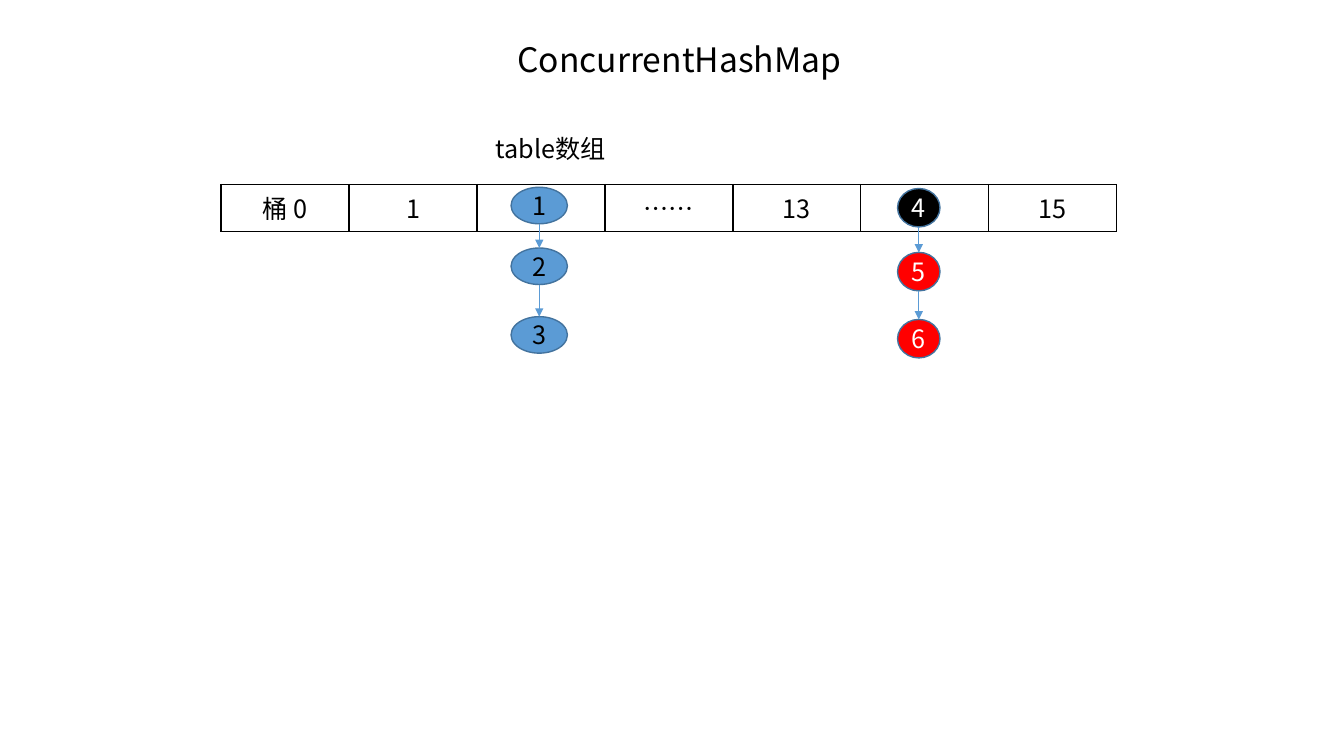
from lxml import etree
from pptx import Presentation
from pptx.dml.color import RGBColor
from pptx.enum.shapes import MSO_CONNECTOR, MSO_SHAPE
from pptx.enum.text import MSO_ANCHOR, PP_ALIGN
from pptx.oxml import parse_xml
from pptx.oxml.ns import nsdecls, qn
from pptx.util import Cm, Pt

FONT = "Noto Sans CJK SC"
BLACK = RGBColor(0x00, 0x00, 0x00)
WHITE = RGBColor(0xFF, 0xFF, 0xFF)
RED = RGBColor(0xFF, 0x00, 0x00)
BLUE = RGBColor(0x5B, 0x9B, 0xD5)
DARK_BLUE = RGBColor(0x43, 0x73, 0x9E)


def write(frame, text, size=18, color=BLACK, align=PP_ALIGN.CENTER,
          anchor=MSO_ANCHOR.TOP):
    """Put one formatted line of text into a text frame."""
    frame.word_wrap = True
    frame.vertical_anchor = anchor
    line = frame.paragraphs[0]
    line.alignment = align
    run = line.add_run()
    run.text = text
    run.font.size = Pt(size)
    run.font.name = FONT
    run.font.color.rgb = color
    east_asian = etree.SubElement(run._r.get_or_add_rPr(), qn("a:ea"))
    east_asian.set("typeface", FONT)


deck = Presentation()
deck.slide_width, deck.slide_height = Cm(33.87), Cm(19.05)
slide = deck.slides.add_slide(deck.slide_layouts[5])
shapes = slide.shapes

heading = shapes.title
heading.left, heading.top = Cm(4.42), Cm(0.97)
heading.width, heading.height = Cm(25.4), Cm(1.47)
write(heading.text_frame, "ConcurrentHashMap", size=24)
heading.text_frame.paragraphs[0].line_spacing = 0.9

# Bucket array
bucket_labels = ["桶 0", "1", "", "……", "13", "", "15"]
bucket_frame = shapes.add_table(1, len(bucket_labels), Cm(5.57), Cm(4.65),
                                Cm(22.58), Cm(1.04))
buckets = bucket_frame.table
buckets.first_row = buckets.horz_banding = False
for column, bucket_label in enumerate(bucket_labels):
    bucket = buckets.cell(0, column)
    if bucket_label:
        write(bucket.text_frame, bucket_label)
    properties = bucket._tc.get_or_add_tcPr()
    for side in ("lnL", "lnR", "lnT", "lnB"):
        properties.append(parse_xml(
            f'<a:{side} {nsdecls("a")} w="12700"><a:solidFill>'
            f'<a:srgbClr val="{BLACK}"/></a:solidFill></a:{side}>'))
    bucket.fill.background()

caption = shapes.add_textbox(Cm(12.24), Cm(3.23), Cm(5.59), Cm(1.02))
write(caption.text_frame, "table数组", align=PP_ALIGN.LEFT)

# Node chains hanging from buckets: left, width, height, text colour, nodes
chains = [
    (12.88, 1.42, 0.92, BLACK,
     [("1", 4.72, BLUE), ("2", 6.25, BLUE), ("3", 7.98, BLUE)]),
    (22.62, 1.07, 0.97, WHITE,
     [("4", 4.75, BLACK), ("5", 6.36, RED), ("6", 8.05, RED)]),
]
for left, width, height, text_color, nodes in chains:
    center = Cm(left + width / 2)
    previous = None
    for number, top, fill_color in nodes:
        node = shapes.add_shape(MSO_SHAPE.OVAL, Cm(left), Cm(top),
                                Cm(width), Cm(height))
        node.shadow.inherit = False
        node.fill.solid()
        node.fill.fore_color.rgb = fill_color
        node.line.color.rgb = DARK_BLUE
        node.line.width = Pt(1)
        node_text = node.text_frame
        node_text.margin_left = node_text.margin_right = 0
        node_text.margin_top = node_text.margin_bottom = 0
        write(node_text, number, color=text_color, anchor=MSO_ANCHOR.MIDDLE)
        if previous is not None:
            arrow = shapes.add_connector(
                MSO_CONNECTOR.STRAIGHT, center,
                previous.top + previous.height, center, node.top)
            arrow.line.color.rgb = BLUE
            arrow.line.width = Pt(0.5)
            etree.SubElement(arrow.line._get_or_add_ln(), qn("a:tailEnd"),
                             type="triangle")
            etree.SubElement(arrow._element.spPr, qn("a:effectLst"))
        previous = node

deck.save("out.pptx")
